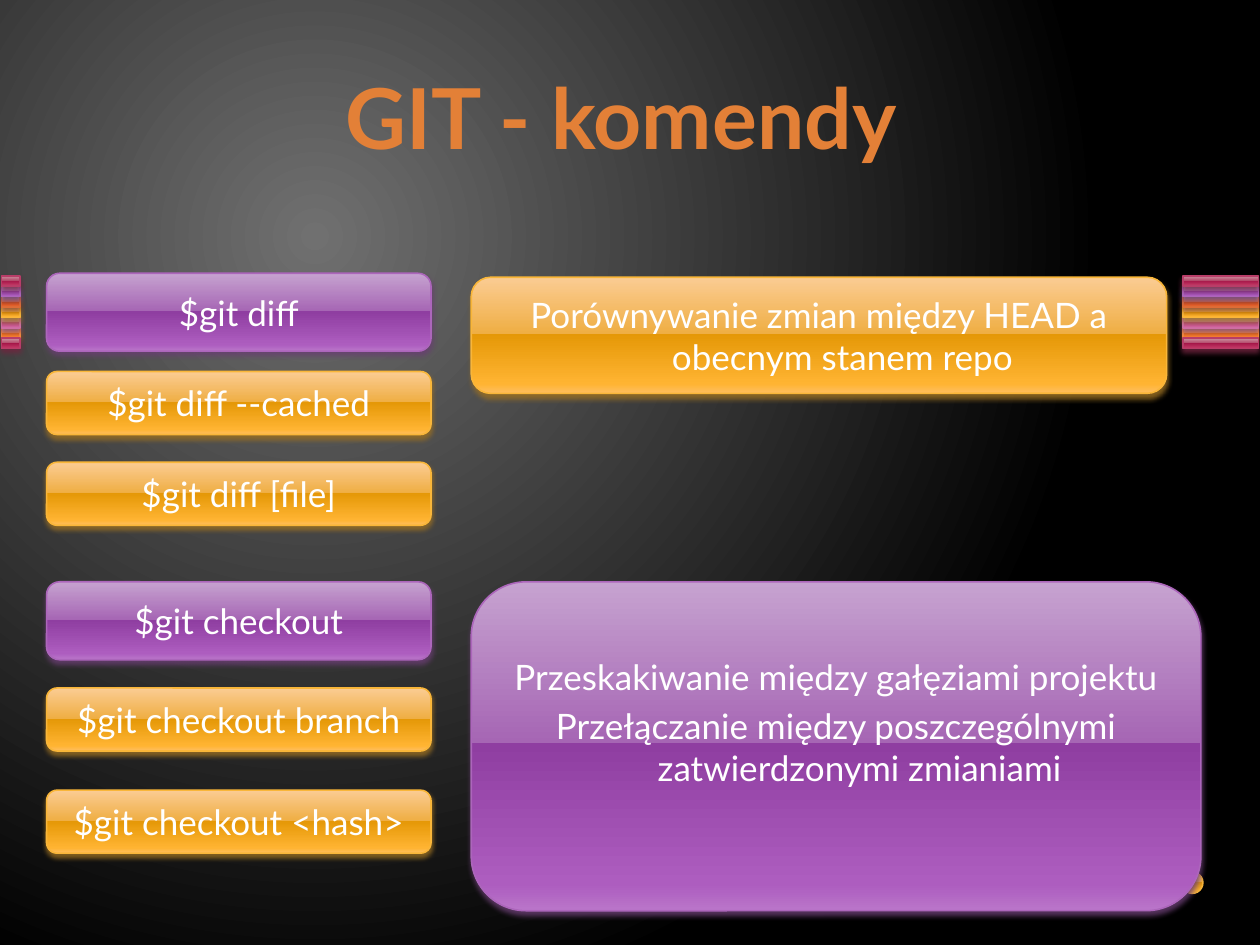
from dataclasses import dataclass, field

from lxml import etree
from pptx import Presentation
from pptx import util as u
from pptx.dml.color import RGBColor
from pptx.enum import shapes, text
from pptx.oxml.ns import qn

KIND = shapes.MSO_SHAPE


@dataclass(frozen=True)
class Skin:
    glow: tuple
    edge: str
    shade: str


@dataclass(frozen=True)
class Theme:
    font: str = "Lato"
    head: int = 48
    body: int = 20
    line: float = 0.9
    white: str = "FFFFFF"
    title: tuple = ((40, "E38037"), (45, "FA8D3D"))
    back: tuple = ((0, "707070"), (100, "000000"))
    stops: tuple = (0, 49, 49, 92, 100)
    skins: dict = field(default_factory=lambda: {
        "wine": Skin(("CE94A2", "B34869", "A61749", "C13764", "CA5D7C"), "B83D68", "722640"),
        "plum": Skin(("C6A2D0", "A666B4", "8F3EA1", "AD5DBF", "BA76CA"), "AC66BB", "6A3F73"),
        "rust": Skin(("E7A493", "D66B42", "CC4809", "E9642C", "F07B55"), "DE6C36", "894321"),
        "gold": Skin(("FBCC93", "EFAE43", "E59807", "FFB432", "FFBE5F"), "F9B639", "9A7023"),
        "pink": Skin(("DDA4C1", "C66B9D", "B34181", "D361A0", "DC79AE"), "CF6DA4", "804365"),
        "peach": Skin(("FBB494", "F08745", "E5670B", "FF8736", "FF9961"), "FA8D3D", "9A5726"),
    })


THEME = Theme()


def add(node, tag, **attrs):
    return etree.SubElement(node, qn(tag), {k: str(v) for k, v in attrs.items()})


def blend(node, stops, angle=None):
    """Replace the solid fill in node by a linear gradient, or a round one without angle."""
    solid = node.find(qn("a:solidFill"))
    grad = etree.Element(qn("a:gradFill"), rotWithShape="1")
    node.replace(solid, grad)
    steps = add(grad, "a:gsLst")
    for pos, color in stops:
        add(add(steps, "a:gs", pos=pos * 1000), "a:srgbClr", val=color)
    if angle is None:
        ring = add(grad, "a:path", path="circle")
        add(ring, "a:fillToRect", l=50000, t=50000, r=100000, b=100000)
    else:
        add(grad, "a:lin", ang=angle * 60000, scaled=0)


def cast(shape, color):
    """Put a soft shadow under the shape."""
    glow = add(shape._element.spPr.find(qn("a:effectLst")), "a:outerShdw",
               blurRad=u.Pt(3.1), dist=u.Pt(2), dir=5400000, algn="ctr", rotWithShape=0)
    add(add(glow, "a:srgbClr", val=color), "a:alpha", val=83000)


def gloss(slide, kind, box, name, shadow=True):
    """Draw a shape with the glossy look of the named skin."""
    skin = THEME.skins[name]
    shape = slide.shapes.add_shape(kind, *map(u.Cm, box))
    shape.fill.solid()
    blend(shape._element.spPr, zip(THEME.stops, skin.glow), 90)
    shape.line.color.rgb = RGBColor.from_string(skin.edge)
    shape.line.width = u.Pt(THEME.line)
    shape.shadow.inherit = False
    if shadow:
        cast(shape, skin.shade)
    return shape


def write(shape, *lines, size=THEME.body, color=THEME.white, bold=False, grad=None):
    frame = shape.text_frame
    frame.word_wrap = True
    frame.vertical_anchor = text.MSO_ANCHOR.MIDDLE
    for i, line in enumerate(lines):
        para = frame.paragraphs[0] if i == 0 else frame.add_paragraph()
        para.alignment = text.PP_ALIGN.CENTER
        props = para._p.get_or_add_pPr()
        props.set("marL", str(u.Cm(0.95)))
        props.set("indent", str(u.Cm(-0.95)))
        add(add(props, "a:spcBef"), "a:spcPct", val=20000)
        run = para.add_run()
        run.text = line
        font = run.font
        font.name, font.size, font.bold = THEME.font, u.Pt(size), bold
        font.color.rgb = RGBColor.from_string(color)
        if grad:
            blend(run._r.rPr, grad, 270)


def card(slide, box, skin, *lines):
    shape = gloss(slide, KIND.ROUNDED_RECTANGLE, box, skin)
    write(shape, *lines)
    return shape


def stripe(slide, left, width):
    """Stack the coloured bands at a slide edge, the lowest one on top."""
    names = ("wine", "plum", "rust", "gold", "pink", "peach", "wine")
    for row in (5, 4, 3, 2, 1, 0, 6):
        gloss(slide, KIND.RECTANGLE, (left, 5.56 + 0.21 * row, width, 0.21), names[row])


def main():
    deck = Presentation()
    deck.slide_width, deck.slide_height = u.Cm(25.4), u.Cm(19.05)
    slide = deck.slides.add_slide(deck.slide_layouts[6])
    slide.background.fill.solid()
    blend(slide._element.find(".//" + qn("p:bgPr")), THEME.back)

    stripe(slide, 0.03, 0.38)
    stripe(slide, 23.85, 1.52)
    gloss(slide, KIND.OVAL, (23.82, 17.58, 0.43, 0.43), "gold", shadow=False)

    title = slide.shapes.add_textbox(*map(u.Cm, (1.09, 0.74, 22.86, 3.18)))
    write(title, "GIT - komendy", size=THEME.head, bold=True, grad=THEME.title)

    for top, tall, skin, label in (
        (5.51, 1.57, "plum", "$git diff"),
        (7.49, 1.27, "gold", "$git diff --cached"),
        (9.32, 1.27, "gold", "$git diff [file]"),
        (11.73, 1.57, "plum", "$git checkout"),
        (13.87, 1.27, "gold", "$git checkout branch"),
        (15.93, 1.27, "gold", "$git checkout <hash>"),
    ):
        card(slide, (0.94, top, 7.75, tall), skin, label)

    card(slide, (9.5, 5.59, 14.02, 2.34), "gold",
         "Porównywanie zmian między HEAD a obecnym stanem repo")
    note = card(slide, (9.5, 11.73, 14.71, 6.63), "plum",
                "Przeskakiwanie między gałęziami projektu",
                "Przełączanie między poszczególnymi zatwierdzonymi zmianiami")
    note.text_frame.margin_bottom = u.Cm(1.12)

    deck.save("out.pptx")


if __name__ == "__main__":
    main()
